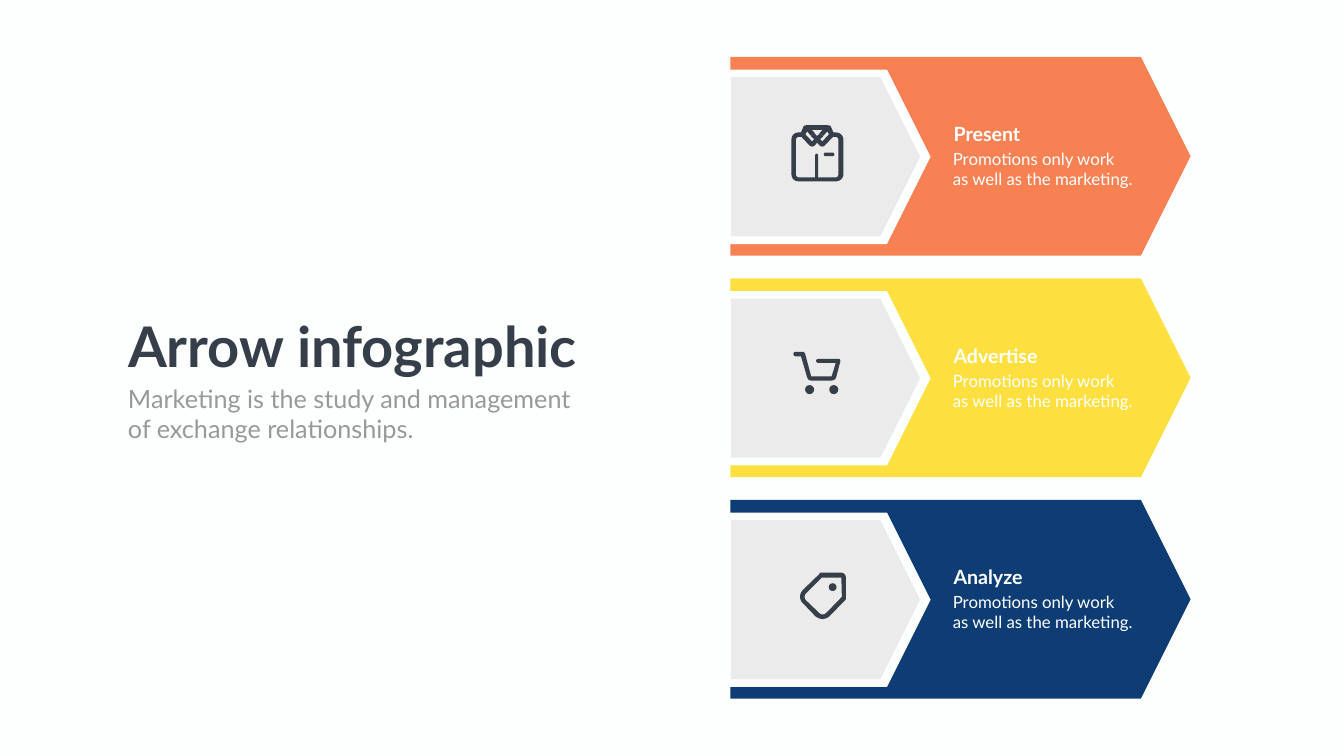
from pptx import Presentation
from pptx.dml.color import RGBColor
from pptx.enum.shapes import MSO_SHAPE
from pptx.enum.text import MSO_ANCHOR, PP_ALIGN
from pptx.util import Cm, Pt

ARROW, OVAL = MSO_SHAPE.PENTAGON, MSO_SHAPE.OVAL
TOP, LEFT = MSO_ANCHOR.TOP, PP_ALIGN.LEFT

FONT = "Lato"
COLORS = {
    "paper": "FDFFFE", "ink": "353E49", "muted": "989998", "panel": "EAEBEA",
    "orange": "F88153", "yellow": "FDE040", "navy": "0D3D74",
}
FIRST_ROW, ROW_PITCH = 2.87, 11.16  # cm
GRID = Cm(0.0254)  # unit of the icon outlines
CURVE_STEPS = 8

# Icon outlines: a pair is a corner, six numbers are a Bezier curve
SHIRT_AXIS = 51
SHIRT_BODY = [
    (88, 111), (14, 111), (6, 111, 0, 105, 0, 97), (0, 28), (0, 20, 6, 14, 14, 14),
    (21, 14), (21, 23), (14, 23), (12, 23, 9, 25, 9, 28), (9, 97),
    (9, 101, 12, 103, 14, 103), (88, 103), (91, 103, 93, 101, 93, 97), (93, 28),
    (93, 25, 91, 23, 88, 23), (80, 23), (80, 14), (88, 14),
    (96, 14, 103, 20, 103, 28), (103, 97), (103, 105, 96, 111, 88, 111),
]
SHIRT_NECK = [(29, 0), (73, 0), (73, 9), (29, 9)]
COLLAR_EDGE = [
    (63, 21), (56, 15), (69, 1), (70, 0, 72, 0, 73, 0), (76, 0, 77, 1, 78, 2),
    (84, 16), (85, 18, 84, 21, 82, 23), (80, 24, 77, 23, 76, 20), (71, 12),
]
COLLAR_FLAP = [
    (61, 42), (59, 42, 57, 41, 55, 39), (45, 27), (57, 15), (63, 22), (57, 27),
    (61, 32), (77, 15), (78, 13, 81, 13, 83, 15), (84, 16, 84, 19, 83, 22),
    (67, 39), (65, 41, 63, 42, 61, 42),
]
SHIRT_POCKET = [
    (64, 58), (64, 55, 66, 54, 67, 54), (82, 54), (83, 54, 85, 55, 85, 58),
    (85, 60, 83, 61, 82, 61), (67, 61), (66, 61, 64, 60, 64, 58),
]
SHIRT_PLACKET = [
    (53, 107), (47, 107), (47, 60), (47, 58, 48, 56, 50, 56), (51, 56, 53, 58, 53, 60),
]
CART_BODY = [
    (76, 57), (35, 57), (31, 57, 28, 54, 27, 50), (15, 9), (4, 9),
    (2, 9, 0, 7, 0, 4), (0, 2, 2, 0, 4, 0), (18, 0), (20, 0, 21, 1, 23, 3),
    (35, 48), (35, 49), (76, 49), (76, 48), (84, 22), (49, 22),
    (47, 22, 45, 20, 45, 18), (45, 16, 47, 14, 49, 14), (89, 14),
    (90, 14, 91, 14, 92, 15), (93, 16, 93, 18, 93, 19), (85, 50),
    (84, 54, 80, 57, 76, 57),
]
TAG_OUTER = [
    (46, 92), (42, 92, 38, 90, 33, 87), (8, 61), (0, 54, 0, 42, 8, 34), (40, 3),
    (41, 1, 42, 0, 43, 0), (84, 0), (89, 0, 93, 5, 93, 10), (93, 51),
    (93, 52, 93, 53, 92, 54), (60, 87), (56, 90, 51, 92, 46, 92),
]
TAG_INNER = [
    (45, 10), (14, 41), (10, 45, 10, 51, 14, 55), (40, 80), (44, 84, 49, 84, 54, 80),
    (85, 48), (84, 10),
]


def paint(shape, color):
    shape.fill.solid()
    shape.fill.fore_color.rgb = RGBColor.from_string(COLORS[color])
    shape.line.fill.background()
    shape.shadow.inherit = False


def flatten(outline):
    """Turn corners and curves into points in EMU."""
    points = []
    for step in outline:
        if len(step) == 2:
            points.append(step)
            continue
        controls = [points[-1], step[0:2], step[2:4], step[4:6]]
        for i in range(1, CURVE_STEPS + 1):
            t = i / CURVE_STEPS
            weights = ((1 - t) ** 3, 3 * t * (1 - t) ** 2, 3 * t * t * (1 - t), t ** 3)
            points.append(tuple(
                sum(w * c[axis] for w, c in zip(weights, controls)) for axis in (0, 1)))
    return [(x * GRID, y * GRID) for x, y in points]


def mirror(outline):
    """Reflect a collar part across the middle of the shirt."""
    return [tuple(2 * SHIRT_AXIS - v if i % 2 == 0 else v for i, v in enumerate(step))
            for step in outline]


def add_outline(slide, left, top, *contours):
    first, *others = [flatten(contour) for contour in contours]
    builder = slide.shapes.build_freeform(*first[0])
    builder.add_line_segments(first[1:], close=True)
    for points in others:
        builder.move_to(*points[0])
        builder.add_line_segments(points[1:], close=True)
    paint(builder.convert_to_shape(left, top), "ink")


def add_dot(slide, left, top, x, y, size):
    dot = slide.shapes.add_shape(
        OVAL, left + x * GRID, top + y * GRID, size * GRID, size * GRID)
    paint(dot, "ink")


def draw_shirt(slide, left, top):
    for part in (SHIRT_BODY, SHIRT_NECK, COLLAR_EDGE, COLLAR_FLAP, mirror(COLLAR_EDGE),
                 mirror(COLLAR_FLAP), SHIRT_POCKET, SHIRT_PLACKET):
        add_outline(slide, left, top, part)


def draw_cart(slide, left, top):
    add_outline(slide, left, top, CART_BODY)
    for wheel_x in (23, 71):
        add_dot(slide, left, top, wheel_x, 66, 18)


def draw_tag(slide, left, top):
    add_outline(slide, left, top, TAG_OUTER, TAG_INNER)
    add_dot(slide, left, top, 59, 21, 15.5)


def add_arrow(slide, left, top, width, height, color):
    arrow = slide.shapes.add_shape(ARROW, Cm(left), Cm(top), Cm(width), Cm(height))
    arrow.adjustments[0] = 0.25
    paint(arrow, color)


def write(box, lines, size, color, bold=False):
    frame = box.text_frame
    frame.word_wrap = True
    frame.vertical_anchor = TOP
    frame.text = "\n".join(lines)
    for paragraph in frame.paragraphs:
        paragraph.alignment = LEFT
        paragraph.font.name = FONT
        paragraph.font.size = Pt(size)
        paragraph.font.bold = bold
        paragraph.font.color.rgb = RGBColor.from_string(COLORS[color])


def add_text(slide, left, top, width, height, *style, **options):
    box = slide.shapes.add_textbox(Cm(left), Cm(top), Cm(width), Cm(height))
    write(box, *style, **options)


def add_heading(slide):
    title = slide.shapes.title
    title.left, title.top, title.width, title.height = Cm(6.2), Cm(15.57), Cm(23.72), Cm(3.68)
    write(title, ["Arrow infographic"], 80, "ink", bold=True)
    add_text(slide, 6.2, 19.18, 24.74, 3.33,
             ["Marketing is the study and management", "of exchange relationships."],
             36, "muted")


def add_step(slide, top, heading, color, draw_icon, icon_left, icon_drop):
    # Coloured arrow, pale gap and icon panel
    add_arrow(slide, 36.8, top, 23.19, 10.02, color)
    add_arrow(slide, 36.7, top + 0.64, 10.19, 8.79, "paper")
    add_arrow(slide, 36.83, top + 1.02, 9.53, 8.02, "panel")
    draw_icon(slide, Cm(icon_left), Cm(top + icon_drop))
    # Caption
    add_text(slide, 47.8, top + 3.17, 6.76, 1.45, [heading], 28, "paper", bold=True)
    add_text(slide, 47.76, top + 4.51, 12.01, 4.37,
             ["Promotions only work", "as well as the marketing."], 24, "paper")


def main():
    presentation = Presentation()
    presentation.slide_width, presentation.slide_height = Cm(67.72), Cm(38.1)
    slide = presentation.slides.add_slide(presentation.slide_layouts[5])
    slide.background.fill.solid()
    slide.background.fill.fore_color.rgb = RGBColor.from_string(COLORS["paper"])

    add_heading(slide)
    steps = [
        ("Present", "orange", draw_shirt, 39.88, 3.45),
        ("Advertise", "yellow", draw_cart, 39.98, 3.7),
        ("Analyze", "navy", draw_tag, 40.26, 3.67),
    ]
    for row, step in enumerate(steps):
        add_step(slide, FIRST_ROW + row * ROW_PITCH, *step)

    presentation.save("out.pptx")


if __name__ == "__main__":
    main()
